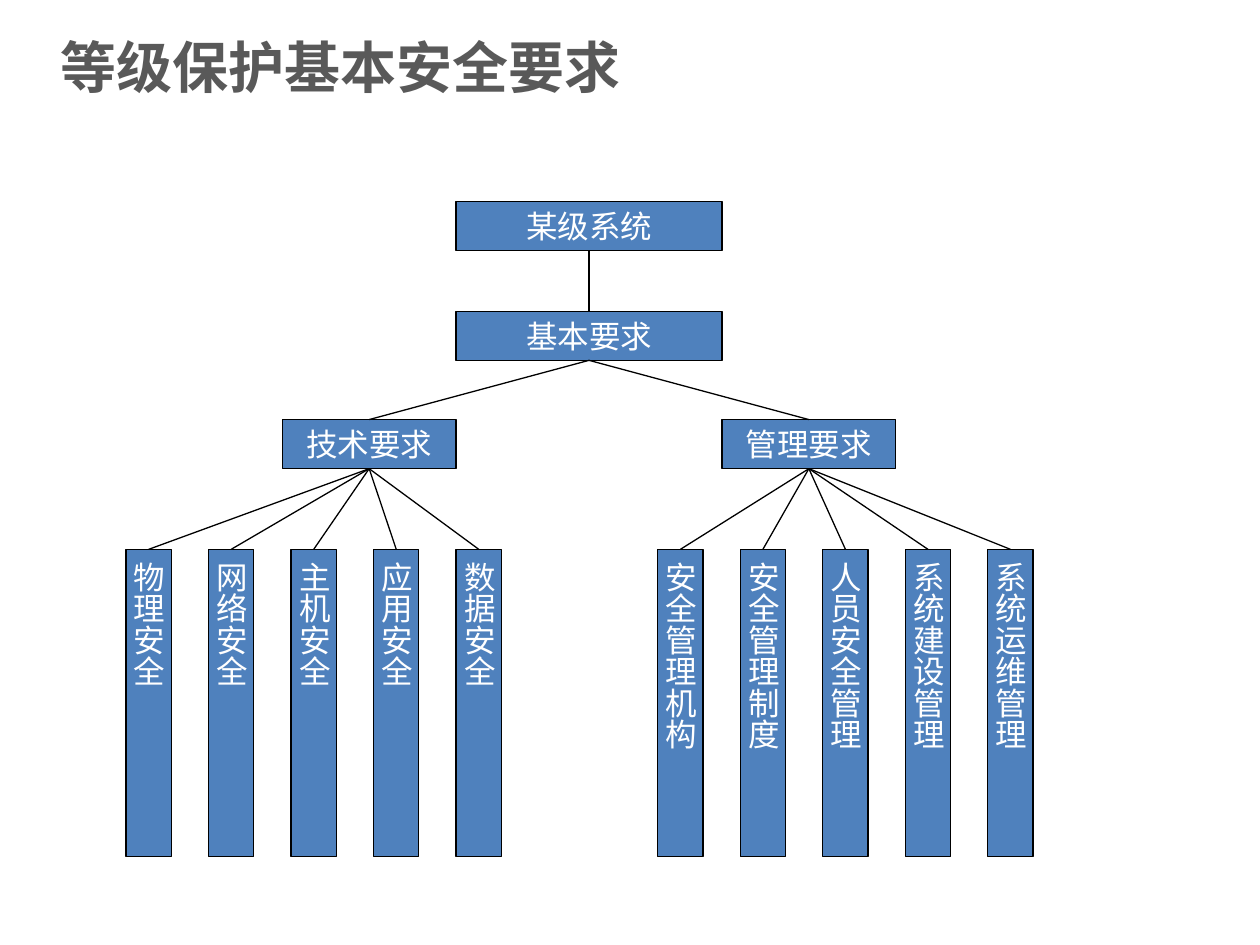
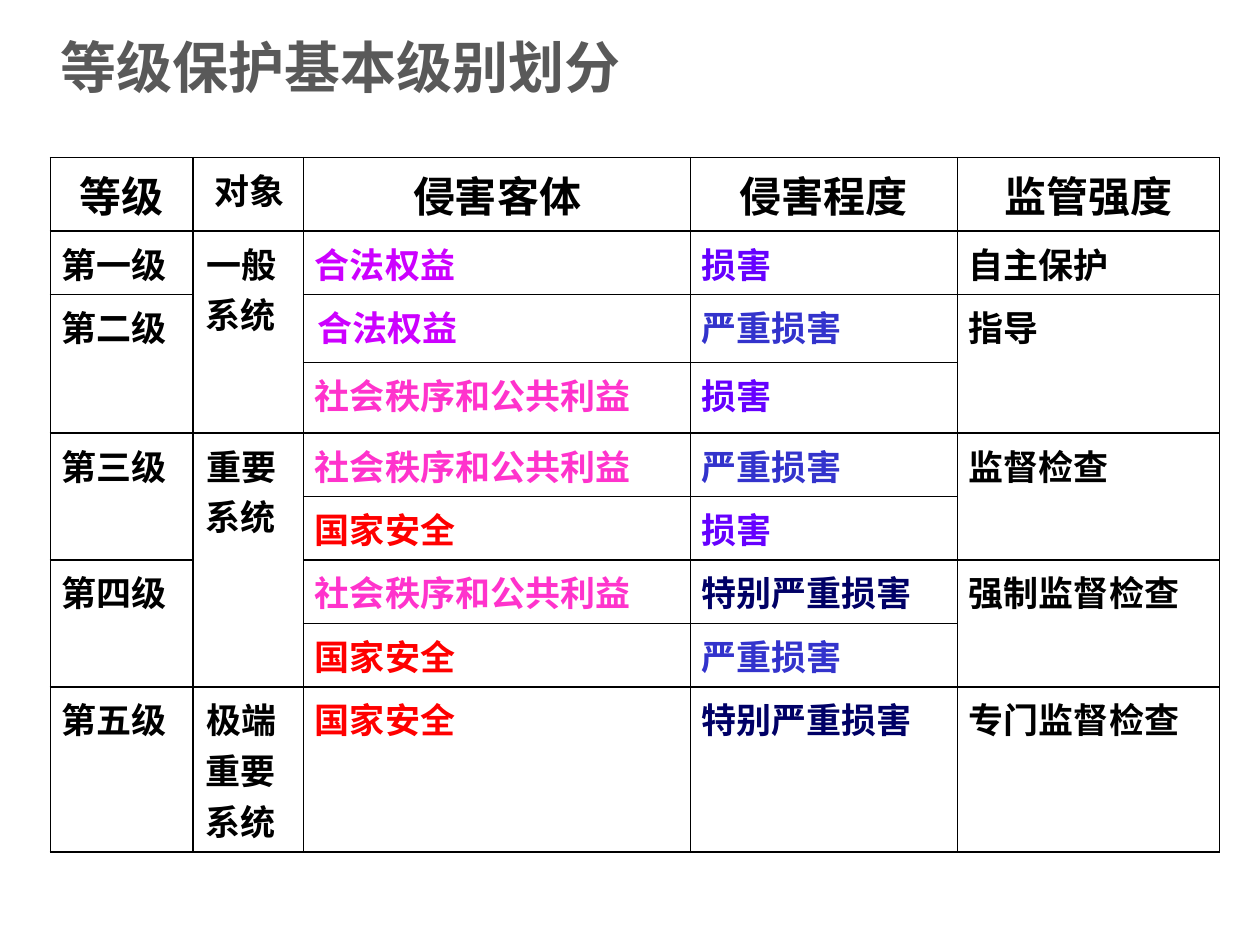
from lxml import etree
from pptx import Presentation, util as u
from pptx.dml.color import RGBColor
from pptx.enum import shapes, text
from pptx.oxml import ns

HUES = {"title": "595959", "box": "4F81BD", "ink": "000000", "pale": "FFFFFF"}
MARKS = {
    "合法权益": "CC00FF", "社会秩序和公共利益": "FF33CC", "国家安全": "FF0000",
    "损害": "6600FF", "严重损害": "3333CC", "特别严重损害": "000066",
}
ASIAN = "Noto Sans CJK SC"
MID, LEFT = text.PP_ALIGN.CENTER, text.PP_ALIGN.LEFT
TOP, BOTTOM = 0, 2

LEAVES = {
    "技术要求": (2.24, 1, ["物理安全", "网络安全", "主机安全", "应用安全", "数据安全"]),
    "管理要求": (5.73, 5.22, ["安全管理机构", "安全管理制度", "人员安全管理",
                          "系统建设管理", "系统运维管理"]),
}
PITCH = 2.62 / 4

COLS = [1.13, 0.88, 3.07, 2.12, 2.08]
ROWS = [0.55, 0.49, 0.54, 0.56, 0.48, 0.48, 0.48, 0.49, 1.26]
GRADES = [
    ["等级", "对象", "侵害客体", "侵害程度", "监管强度"],
    ["第一级", "一般系统", "合法权益", "损害", "自主保护"],
    ["第二级", None, "合法权益", "严重损害", "指导"],
    [None, None, "社会秩序和公共利益", "损害", None],
    ["第三级", "重要系统", "社会秩序和公共利益", "严重损害", "监督检查"],
    [None, None, "国家安全", "损害", None],
    ["第四级", None, "社会秩序和公共利益", "特别严重损害", "强制监督检查"],
    [None, None, "国家安全", "严重损害", None],
    ["第五级", "极端重要系统", "国家安全", "特别严重损害", "专门监督检查"],
]


def put(item, **vals):
    """Set attributes from keyword values."""
    for name, val in vals.items():
        setattr(item, name, val)


def tint(hue):
    """Turn a hex string into a colour."""
    return RGBColor.from_string(hue)


def write(frame, words, hue, align=LEFT, **font):
    """Write one formatted paragraph into a text frame and return it."""
    para = frame.paragraphs[0]
    para.alignment = align
    run = para.add_run()
    run.text = words
    put(run.font, **font)
    run.font.color.rgb = tint(hue)
    etree.SubElement(run._r.get_or_add_rPr(), ns.qn("a:ea"), typeface=ASIAN)
    return para


def start(deck, words):
    """Add a slide with the shared title style."""
    slide = deck.slides.add_slide(deck.slide_layouts[5])
    title = slide.shapes.title
    put(title, left=u.Inches(0.38), top=u.Inches(0.21),
        width=u.Inches(9), height=u.Inches(0.94))
    title.text_frame.vertical_anchor = text.MSO_ANCHOR.TOP
    write(title.text_frame, words, HUES["title"], name=ASIAN, size=u.Pt(32), bold=True)
    return slide


def box(slide, words, place, tall=False):
    """Add a labelled box, with vertical text if tall."""
    shape = slide.shapes.add_shape(shapes.MSO_SHAPE.RECTANGLE, *map(u.Inches, place))
    shape.shadow.inherit = False
    shape.fill.solid()
    shape.fill.fore_color.rgb = tint(HUES["box"])
    shape.line.color.rgb = tint(HUES["ink"])
    shape.line.width = u.Pt(0.75)
    frame = shape.text_frame
    put(frame, word_wrap=False, vertical_anchor=text.MSO_ANCHOR.MIDDLE)
    if tall:
        frame._txBody.bodyPr.set("vert", "eaVert")
    write(frame, words, HUES["pale"], MID, name="Arial", size=u.Pt(18))
    return shape


def link(slide, above, below):
    """Join the bottom of one box to the top of another."""
    line = slide.shapes.add_connector(shapes.MSO_CONNECTOR.STRAIGHT, 0, 0, 0, 0)
    line.begin_connect(above, BOTTOM)
    line.end_connect(below, TOP)
    line.line.color.rgb = tint(HUES["ink"])
    line.line.width = u.Pt(0.75)
    etree.SubElement(line._element.spPr, ns.qn("a:effectLst"))


def edge(cell):
    """Draw thin black borders round a cell without fill."""
    props = cell._tc.get_or_add_tcPr()
    for side in ("lnL", "lnR", "lnT", "lnB"):
        line = etree.SubElement(props, ns.qn(f"a:{side}"), w=str(u.Pt(1)))
        fill = etree.SubElement(line, ns.qn("a:solidFill"))
        etree.SubElement(fill, ns.qn("a:srgbClr"), val=HUES["ink"])
    cell.fill.background()


def dent(para, left, first):
    """Set the left margin and first-line indent of a paragraph."""
    props = para._p.get_or_add_pPr()
    props.set("marL", str(u.Inches(left)))
    props.set("indent", str(u.Inches(first)))


def tree(slide):
    """Draw the tree of requirements."""
    root = box(slide, "某级系统", (3.62, 1.6, 2.11, 0.39))
    base = box(slide, "基本要求", (3.62, 2.47, 2.11, 0.39))
    link(slide, root, base)
    for words, (left, first, leaves) in LEAVES.items():
        group = box(slide, words, (left, 3.33, 1.38, 0.39))
        link(slide, base, group)
        for i, name in enumerate(leaves):
            leaf = box(slide, name, (first + i * PITCH, 4.36, 0.36, 2.44), tall=True)
            link(slide, group, leaf)


def grid(slide):
    """Draw the table of grades, merging each empty cell into the one above."""
    place = (0.4, 1.25, sum(COLS), sum(ROWS))
    table = slide.shapes.add_table(len(ROWS), len(COLS), *map(u.Inches, place)).table
    put(table, first_row=False, horz_banding=False)
    for col, width in zip(table.columns, COLS):
        col.width = u.Inches(width)
    for row, height in zip(table.rows, ROWS):
        row.height = u.Inches(height)
    for r, row in enumerate(GRADES):
        for c, words in enumerate(row):
            cell = table.cell(r, c)
            put(cell, margin_left=u.Inches(0.09), margin_right=u.Inches(0.09))
            edge(cell)
            if words is None:
                continue
            size = 24 if r == 0 and c != 1 else 20
            para = write(cell.text_frame, words, MARKS.get(words, HUES["ink"]),
                         LEFT if r else MID, name="Times New Roman",
                         size=u.Pt(size), bold=True)
            if c == 1:
                dent(para, 0.01, 0.01)
            elif (r, c) == (2, 2):
                dent(para, 0, 0.02)
            end = r
            while end + 1 < len(GRADES) and GRADES[end + 1][c] is None:
                end += 1
            if end > r:
                cell.merge(table.cell(end, c))


def main():
    """Build and save both slides."""
    deck = Presentation()
    put(deck, slide_width=u.Inches(10), slide_height=u.Inches(7.5))
    tree(start(deck, "等级保护基本安全要求"))
    grid(start(deck, "等级保护基本级别划分"))
    deck.save("out.pptx")


if __name__ == "__main__":
    main()
